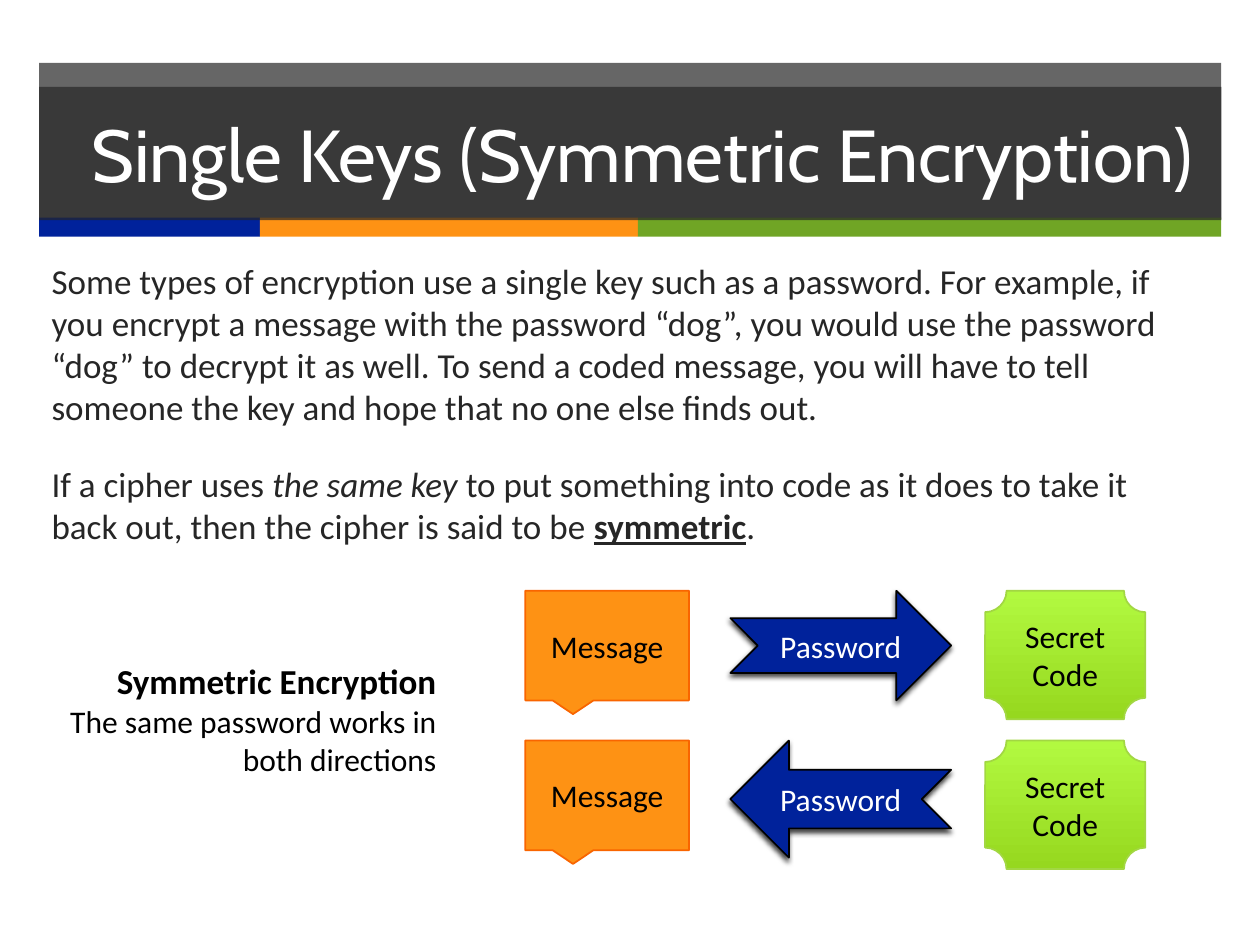
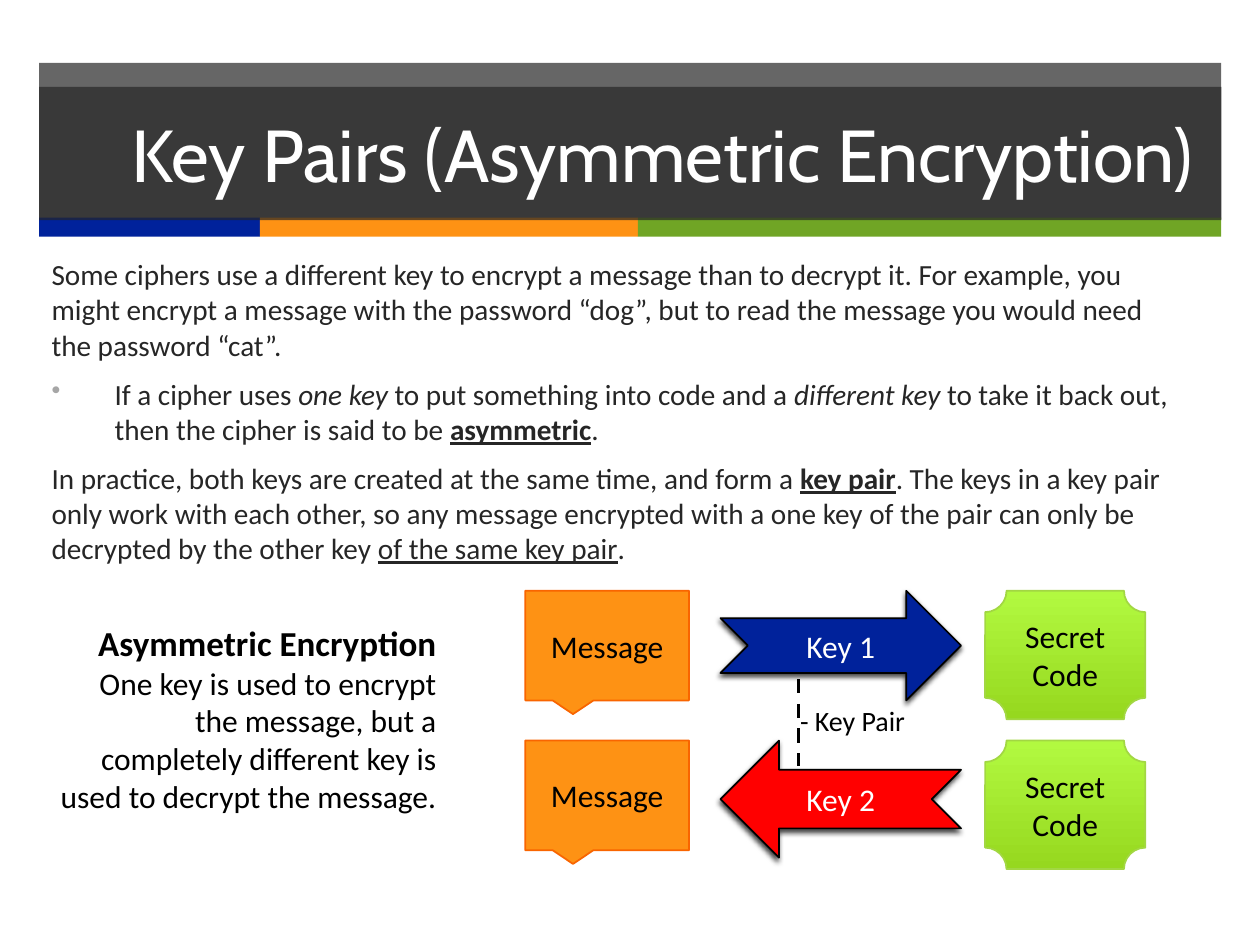
from dataclasses import dataclass
from typing import NamedTuple

import pptx
import pptx.util
import pptx.dml.color
import pptx.enum.dml
import pptx.enum.shapes
import pptx.enum.text
import pptx.oxml
import pptx.oxml.ns
from lxml import etree

Cm, Pt = pptx.util.Cm, pptx.util.Pt
qn = pptx.oxml.ns.qn
SHAPE = pptx.enum.shapes.MSO_SHAPE
ALIGN = pptx.enum.text.PP_ALIGN
ANCHOR = pptx.enum.text.MSO_ANCHOR


@dataclass(frozen=True)
class Theme:
    dark: str = "262626"
    white: str = "FFFFFF"
    black: str = "000000"
    blue: str = "00229B"
    red: str = "FF0000"
    orange: str = "FE9214"
    orange_edge: str = "F96500"
    green: str = "70A525"
    lime: str = "B2F940"
    lime_deep: str = "96D81F"
    lime_edge: str = "A2D743"
    bullet: str = "A6A6A6"
    title_font: str = "Cabin"
    text_font: str = "Calibri"
    title_size: float = 42
    heading_size: float = 20
    label_size: float = 18
    small_size: float = 16


class Box(NamedTuple):
    """Lengths in centimetres."""
    left: float
    top: float
    width: float
    height: float

    def within(self, x, y, width, height):
        return Box(self.left + x, self.top + y, width, height)

    def emu(self):
        return [Cm(v) for v in self]


T = Theme()
BAND = Box(0.79, 1.27, 23.83, 3.15)
TITLE = Box(0.79, 1.75, 23.83, 2.69)
STRIPES = Box(0.79, 4.39, 23.83, 0.38)
DIAGRAM = Box(10.59, 11.91, 12.5, 5.61)
CAPTION = Box(0.79, 11.91, 8.26, 5.18)


def rgb(color):
    return pptx.dml.color.RGBColor.from_string(color)


def sub(parent, tag, **attrs):
    return etree.SubElement(parent, qn(tag), {k: str(v) for k, v in attrs.items()})


def fill_solid(sp, color, alpha=100):
    sp.fill.solid()
    sp.fill.fore_color.rgb = rgb(color)
    if alpha < 100:
        clr = sp.element.spPr.find(".//" + qn("a:srgbClr"))
        sub(clr, "a:alpha", val=alpha * 1000)


def add_run(p, text, size, color, font=T.text_font, style=""):
    """Style holds any of the letters b, i and u."""
    r = p.add_run()
    r.text = text
    r.font.name, r.font.size = font, Pt(size)
    r.font.color.rgb = rgb(color)
    for letter, name in (("b", "bold"), ("i", "italic"), ("u", "underline")):
        if letter in style:
            setattr(r.font, name, True)


def add_shape(s, kind, box, color, edge=None, alpha=100):
    sp = s.shapes.add_shape(kind, *box.emu())
    sp.shadow.inherit = False
    fill_solid(sp, color, alpha)
    if edge:
        sp.line.color.rgb = rgb(edge)
        sp.line.width = Pt(1)
    else:
        sp.line.fill.background()
    return sp


def add_label(sp, text, color):
    tf = sp.text_frame
    tf.word_wrap = True
    tf.vertical_anchor = ANCHOR.MIDDLE
    p = tf.paragraphs[0]
    p.alignment = ALIGN.CENTER
    add_run(p, text, T.label_size, color)


def add_text_frame(s, box):
    tf = s.shapes.add_textbox(*box.emu()).text_frame
    tf.word_wrap = True
    return tf


def next_paragraph(tf, index):
    return tf.add_paragraph() if index else tf.paragraphs[0]


def dress_layout(s):
    """Build the header band and stripes on s and move them to its layout."""
    header = [add_shape(s, SHAPE.RECTANGLE, BAND, T.dark, alpha=70)]
    x = 0
    for width, color in ((4.45, T.blue), (7.62, T.orange), (11.76, T.green)):
        box = STRIPES.within(x, 0, width, STRIPES.height)
        header.append(add_shape(s, SHAPE.RECTANGLE, box, color))
        x += width
    for sp in header:
        s.slide_layout.shapes.element.append(sp.element)


def set_title(s, text):
    sp = s.shapes.title
    sp.left, sp.top, sp.width, sp.height = TITLE.emu()
    fill_solid(sp, T.dark, alpha=70)
    tf = sp.text_frame
    tf.auto_size = pptx.enum.text.MSO_AUTO_SIZE.NONE
    tf.vertical_anchor = ANCHOR.MIDDLE
    p = tf.paragraphs[0]
    p.alignment = ALIGN.RIGHT
    add_run(p, text, T.title_size, T.white, T.title_font)


def set_bullet(p):
    pPr = p._p.get_or_add_pPr()
    pPr.set("marL", str(Cm(1.27)))
    pPr.set("indent", str(-Cm(1.27)))
    sub(sub(pPr, "a:buClr"), "a:srgbClr", val=T.bullet)
    sub(pPr, "a:buSzPct", val=90000)
    sub(pPr, "a:buChar", char="•")


def add_body(s, box, paragraphs, size, gap, bulleted=()):
    tf = add_text_frame(s, box)
    for i, runs in enumerate(paragraphs):
        p = next_paragraph(tf, i)
        p.space_before = Pt(gap)
        if i in bulleted:
            set_bullet(p)
        for text, style in runs:
            add_run(p, text, size, T.dark, style=style)


def add_caption(s, box, heading, text, height):
    """Place right-aligned text of the given height halfway down the box."""
    tf = add_text_frame(s, box.within(0, (box.height - height) / 2, box.width, height))
    lines = ((heading, T.heading_size, "b"), (text, T.label_size, ""))
    for i, (line, size, style) in enumerate(lines):
        p = next_paragraph(tf, i)
        p.alignment = ALIGN.RIGHT
        add_run(p, line, size, T.black, style=style)


def add_message(s, box):
    sp = add_shape(s, SHAPE.RECTANGULAR_CALLOUT, box, T.orange, T.orange_edge)
    add_label(sp, "Message", T.black)


def add_key_arrow(s, box, text, color, flip):
    sp = add_shape(s, SHAPE.NOTCHED_RIGHT_ARROW, box, color, T.black)
    if flip:
        sp.element.spPr.find(qn("a:xfrm")).set("flipH", "1")
    effects = sp.element.spPr.find(qn("a:effectLst"))
    shadow = sub(effects, "a:outerShdw", blurRad=Pt(3), dist=Pt(2),
                 dir=110 * 60000, rotWithShape=0)
    sub(sub(shadow, "a:srgbClr", val=T.black), "a:alpha", val=75000)
    add_label(sp, text, T.white)


def add_secret_code(s, box):
    sp = add_shape(s, SHAPE.PLAQUE, box, T.lime, T.lime_edge)
    sp.fill.gradient()
    sp.fill.gradient_angle = 90
    for stop, color in zip(sp.fill.gradient_stops, (T.lime_deep, T.lime)):
        stop.color.rgb = rgb(color)
    add_label(sp, "Secret Code", T.black)


def add_diagram(s, box, keys, arrow_width):
    """One row for encrypting and, below it, one for decrypting."""
    row_step, arrow_middle = 3.02, 6.36
    for row, (text, color) in enumerate(keys):
        y = row * row_step
        add_message(s, box.within(0, y, 3.3, 2.21))
        arrow = box.within(arrow_middle - arrow_width / 2, y, arrow_width, (2.21, 2.36)[row])
        add_key_arrow(s, arrow, text, color, flip=row == 1)
        add_secret_code(s, box.within(box.width - 3.23, y, 3.23, 2.59))


def add_pair_link(s, box):
    x = Cm(box.left + 5.51)
    link = s.shapes.add_connector(pptx.enum.shapes.MSO_CONNECTOR.STRAIGHT,
                                  x, Cm(box.top + 1.78), x, Cm(box.top + 3.53))
    link.line.color.rgb = rgb(T.black)
    link.line.width = Pt(2)
    link.line.dash_style = pptx.enum.dml.MSO_LINE.DASH
    sub(link.element.spPr, "a:effectLst")
    tf = add_text_frame(s, box.within(5.29, 2.14, 2.82, 0.94))
    add_run(tf.paragraphs[0], "- Key Pair", T.small_size, T.black)


def build_symmetric(s):
    set_title(s, "Single Keys (Symmetric Encryption) ")
    add_body(s, Box(0.79, 5.11, 23.39, 6.3), [
        [("Some types of encryption use a single key such as a password. For example, "
          "if you encrypt a message with the password “dog”, you would use the password "
          "“dog” to decrypt it as well. To send a coded message, you will have to tell "
          "someone the key and hope that no one else finds out.", "")],
        [("If a cipher uses ", ""), ("the same key ", "i"),
         ("to put something into code as it does to take it back out, then the cipher "
          "is said to be ", ""), ("symmetric", "bu"), (".", "")],
    ], size=20, gap=20)
    add_diagram(s, DIAGRAM, [("Password", T.blue)] * 2, arrow_width=4.45)
    add_caption(s, CAPTION, "Symmetric Encryption",
                "The same password works in both directions", height=2.64)


def build_asymmetric(s):
    set_title(s, "Key Pairs (Asymmetric Encryption) ")
    add_body(s, Box(0.79, 5.05, 23.39, 6.58), [
        [("Some ciphers use a different key to encrypt a message than to decrypt it. For "
          "example, you might encrypt a message with the password “dog”, but to read the "
          "message you would need the password “cat”.", "")],
        [("If a cipher uses ", ""), ("one key ", "i"),
         ("to put something into code and a ", ""), ("different key ", "i"),
         ("to take it back out, then the cipher is said to be ", ""),
         ("asymmetric", "bu"), (".", "")],
        [("In practice, both keys are created at the same time, and form a ", ""),
         ("key pair", "bu"),
         (". The keys in a key pair only work with each other, so any message encrypted "
          "with a one key of the pair can only be decrypted by the other key ", ""),
         ("of the same key pair", "u"), (".", "")],
    ], size=16.7, gap=8, bulleted=(1,))
    add_diagram(s, DIAGRAM, [("Key 1", T.blue), ("Key 2", T.red)], arrow_width=4.85)
    add_caption(s, CAPTION, "Asymmetric Encryption",
                "One key is used to encrypt the message, but a completely different key "
                "is used to decrypt the message.", height=4.19)
    add_pair_link(s, DIAGRAM)


def main():
    prs = pptx.Presentation()
    prs.slide_width, prs.slide_height = Cm(25.4), Cm(19.05)
    title_only = prs.slide_layouts[5]
    for i, build in enumerate((build_symmetric, build_asymmetric)):
        s = prs.slides.add_slide(title_only)
        if i == 0:
            dress_layout(s)
        build(s)
    prs.save("out.pptx")


if __name__ == "__main__":
    main()
